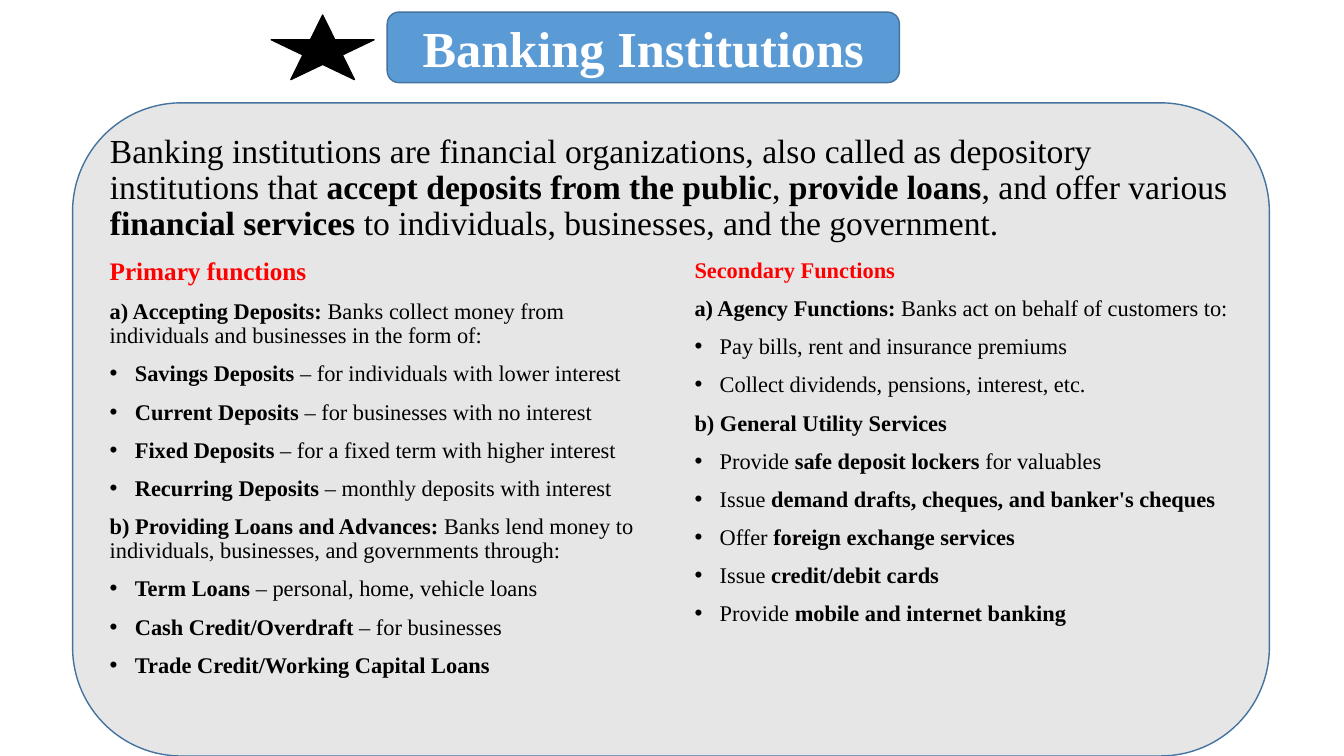
from dataclasses import dataclass

from lxml import etree
from pptx import Presentation
from pptx import util as u
from pptx.dml.color import RGBColor
from pptx.enum import shapes, text
from pptx.oxml.ns import qn


@dataclass(frozen=True)
class Theme:
    font: str = "Times New Roman"
    ink: str = "000000"
    white: str = "FFFFFF"
    accent: str = "FF0000"
    panel: str = "E7E6E6"
    banner: str = "5B9BD5"
    outline: str = "43739E"
    banner_size: int = 36
    intro_size: int = 24
    primary_size: int = 18
    body_size: int = 16
    leading: float = 0.9
    gap: int = 10
    indent: float = 0.25


@dataclass(frozen=True)
class Box:
    left: float
    top: float
    width: float
    height: float

    def lengths(self) -> list[u.Length]:
        return [u.Inches(v) for v in (self.left, self.top, self.width, self.height)]


@dataclass(frozen=True)
class Column:
    box: Box
    heading: str
    heading_size: int
    lines: tuple[str, ...]


THEME = Theme()

# Content: ** switches bold on and off, a leading • makes a bullet
INTRO = ("Banking institutions are financial organizations, also called as depository "
         "institutions that **accept deposits from the public**, **provide loans**, and offer "
         "various **financial services** to individuals, businesses, and the government.")
COLUMNS = (
    Column(Box(0.99, 2.52, 5.67, 4.52), "Primary functions", THEME.primary_size, (
        "**a) Accepting Deposits: **Banks collect money from individuals and businesses "
        "in the form of:",
        "•**Savings Deposits** – for individuals with lower interest",
        "•**Current Deposits** – for businesses with no interest",
        "•**Fixed Deposits** – for a fixed term with higher interest",
        "•**Recurring Deposits** – monthly deposits with interest",
        "**b) Providing Loans and Advances: **Banks lend money to individuals, businesses, "
        "and governments through:",
        "•**Term Loans** – personal, home, vehicle loans",
        "•**Cash Credit/Overdraft** – for businesses",
        "•**Trade Credit/Working Capital Loans**",
    )),
    Column(Box(6.79, 2.52, 5.67, 4.52), "Secondary Functions", THEME.body_size, (
        "**a) Agency Functions: **Banks act on behalf of customers to:",
        "•Pay bills, rent and insurance premiums",
        "•Collect dividends, pensions, interest, etc.",
        "**b) General Utility Services**",
        "•Provide **safe deposit lockers** for valuables",
        "•Issue **demand drafts, cheques, and banker's cheques**",
        "•Offer **foreign exchange services**",
        "•Issue **credit/debit cards**",
        "•Provide **mobile and internet banking**",
    )),
)


def add_runs(p, marked: str, size: int, color: str) -> None:
    for i, part in enumerate(marked.split("**")):
        if part:
            r = p.add_run()
            r.text = part
            r.font.name = THEME.font
            r.font.size = u.Pt(size)
            r.font.bold = i % 2 == 1
            r.font.color.rgb = RGBColor.from_string(color)


def add_bullet(p) -> None:
    pPr = p._p.get_or_add_pPr()
    indent = u.Inches(THEME.indent)
    pPr.set("marL", str(indent))
    pPr.set("indent", str(-indent))
    etree.SubElement(pPr, qn("a:buFont")).set("typeface", "Arial")
    etree.SubElement(pPr, qn("a:buChar")).set("char", "•")


def add_panel(slide, kind: shapes.MSO_SHAPE, box: Box, fill: str, line: str):
    sp = slide.shapes.add_shape(kind, *box.lengths())
    sp.shadow.inherit = False
    sp.fill.solid()
    sp.fill.fore_color.rgb = RGBColor.from_string(fill)
    sp.line.color.rgb = RGBColor.from_string(line)
    sp.line.width = u.Pt(1)
    return sp


def add_column(slide, column: Column) -> None:
    tf = slide.shapes.add_textbox(*column.box.lengths()).text_frame
    tf.word_wrap = True
    p = tf.paragraphs[0]
    p.line_spacing = THEME.leading
    add_runs(p, f"**{column.heading}**", column.heading_size, THEME.accent)
    for line in column.lines:
        p = tf.add_paragraph()
        if line.startswith("•"):
            add_bullet(p)
        p.line_spacing = THEME.leading
        p.space_before = u.Pt(THEME.gap)
        add_runs(p, line.removeprefix("•"), THEME.body_size, THEME.ink)


def format_intro(title) -> None:
    title.left, title.top, title.width, title.height = Box(0.99, 1.22, 11.5, 1.3).lengths()
    tf = title.text_frame
    tf.word_wrap = True
    tf.auto_size = text.MSO_AUTO_SIZE.NONE
    tf.vertical_anchor = text.MSO_ANCHOR.MIDDLE
    p = tf.paragraphs[0]
    p.alignment = text.PP_ALIGN.LEFT
    p.line_spacing = THEME.leading
    add_runs(p, INTRO, THEME.intro_size, THEME.ink)


def main() -> None:
    prs = Presentation()
    prs.slide_width, prs.slide_height = u.Inches(13.33), u.Inches(7.5)
    s = prs.slides.add_slide(prs.slide_layouts[5])
    title = s.shapes.title

    # Background panel and banner, placed behind the title
    rounded = shapes.MSO_SHAPE.ROUNDED_RECTANGLE
    panel = add_panel(s, rounded, Box(0.72, 1.02, 11.87, 6.48), THEME.panel, THEME.outline)
    banner = add_panel(s, rounded, Box(3.84, 0.12, 5.08, 0.7), THEME.banner, THEME.outline)
    for sp in (panel, banner):
        title.element.addprevious(sp.element)
    banner.text_frame.vertical_anchor = text.MSO_ANCHOR.MIDDLE
    p = banner.text_frame.paragraphs[0]
    p.alignment = text.PP_ALIGN.CENTER
    add_runs(p, "**Banking Institutions**", THEME.banner_size, THEME.white)

    # Definition and the two lists of functions
    format_intro(title)
    for column in COLUMNS:
        add_column(s, column)

    # Star beside the banner
    add_panel(s, shapes.MSO_SHAPE.STAR_5_POINT, Box(2.69, 0.15, 1.02, 0.64), THEME.ink, THEME.ink)
    prs.save("out.pptx")


if __name__ == "__main__":
    main()
